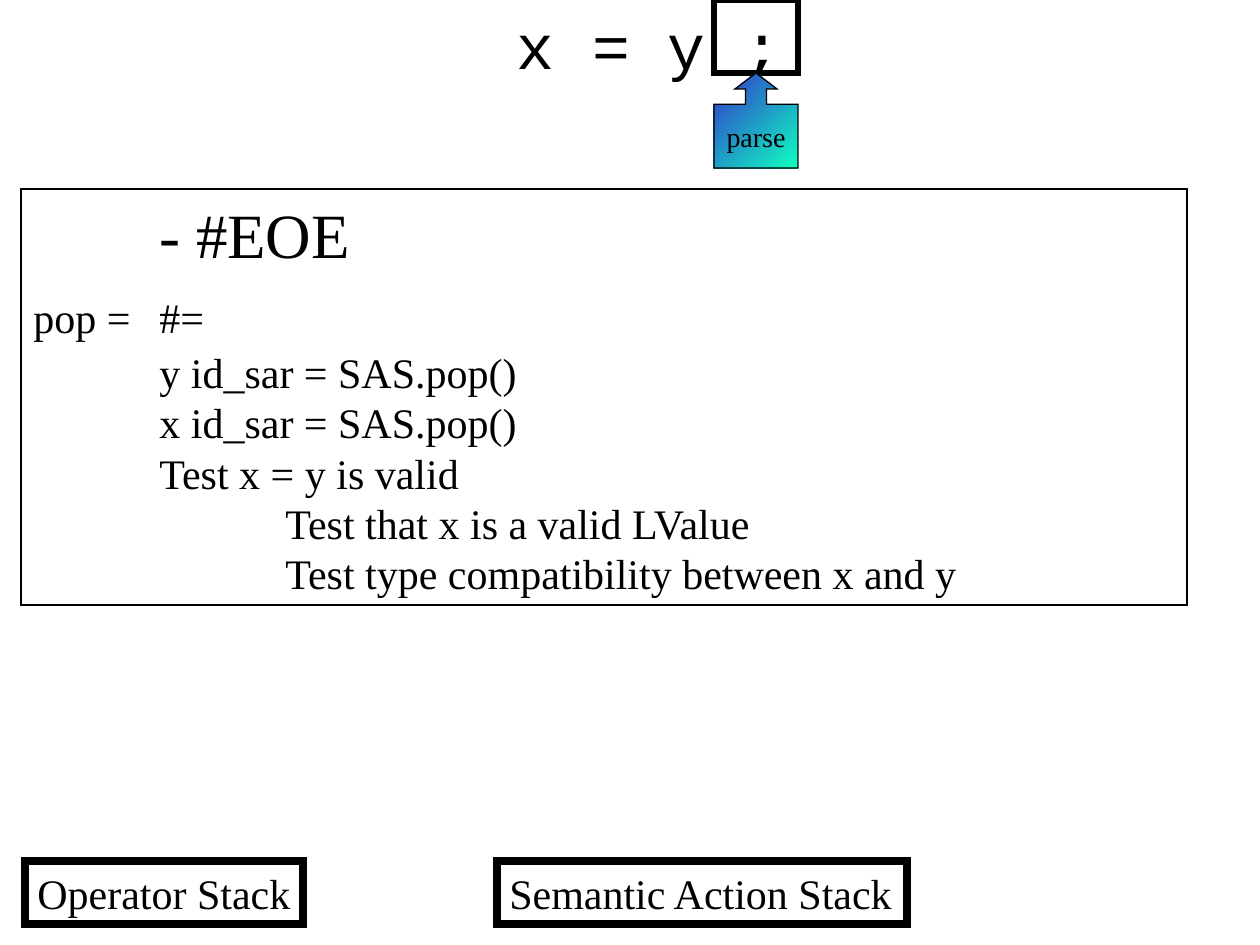
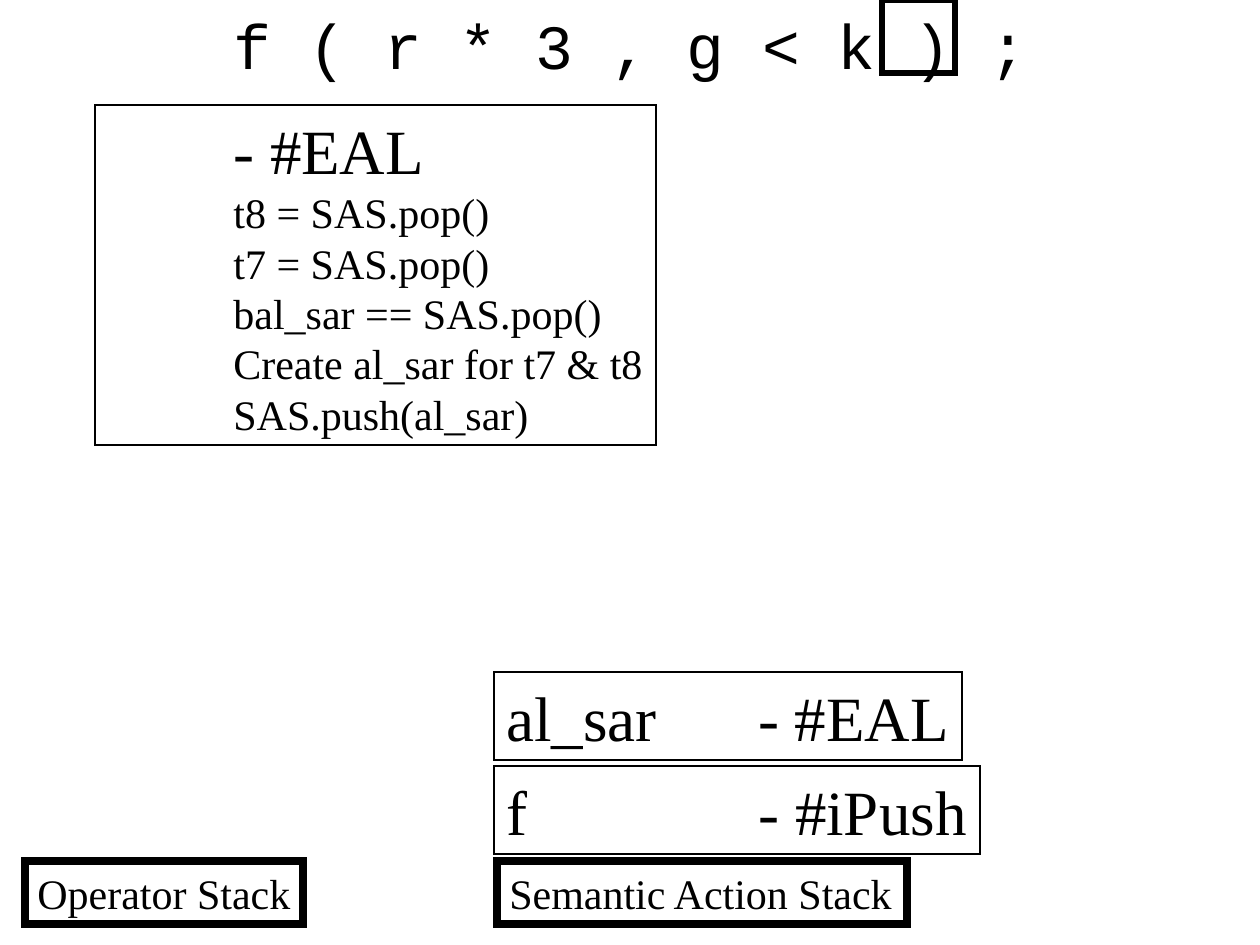
import dataclasses

import pptx
import pptx.dml.color
import pptx.enum.shapes
import pptx.enum.text
import pptx.oxml
import pptx.oxml.ns
import pptx.util

SHAPE = pptx.enum.shapes.MSO_SHAPE
ALIGN = pptx.enum.text.PP_ALIGN
ANCHOR = pptx.enum.text.MSO_ANCHOR
AUTO_SIZE = pptx.enum.text.MSO_AUTO_SIZE
RGB = pptx.dml.color.RGBColor.from_string
NAMESPACE = pptx.oxml.ns.nsdecls("a")

PX_PER_INCH = 126
TAB_COUNT = 8


@dataclasses.dataclass(frozen=True)
class Theme:
    ink: str = "000000"
    arrow_start: str = "3333CC"
    arrow_end: str = "0FFFC0"
    body_font: str = "Times New Roman"
    code_font: str = "Courier New"
    large: int = 36
    body: int = 24
    small: int = 16
    thin_line: float = 1
    arrow_line: float = 0.75
    focus_line: float = 3
    stack_line: float = 4.5


THEME = Theme()


def px(length):
    return pptx.util.Emu(round(length * 914400 / PX_PER_INCH))


def place(box):
    return [px(length) for length in box]


def format_run(run, size, font_name=THEME.body_font):
    run.font.name = font_name
    run.font.size = pptx.util.Pt(size)
    run.font.color.rgb = RGB(THEME.ink)


def add_tab_stops(paragraph):
    """Set a left tab at every inch."""
    stops = "".join(
        f'<a:tab pos="{px(index * PX_PER_INCH)}" algn="l"/>'
        for index in range(TAB_COUNT)
    )
    tab_list = pptx.oxml.parse_xml(f"<a:tabLst {NAMESPACE}>{stops}</a:tabLst>")
    paragraph._p.get_or_add_pPr().append(tab_list)


def add_outline(shapes, box, line_width, preset=SHAPE.RECTANGLE):
    """Add an unfilled shape whose line has sharp corners."""
    shape = shapes.add_shape(preset, *place(box))
    shape.shadow.inherit = False
    shape.fill.background()
    shape.line.color.rgb = RGB(THEME.ink)
    shape.line.width = pptx.util.Pt(line_width)
    miter = pptx.oxml.parse_xml(f'<a:miter {NAMESPACE} lim="800000"/>')
    shape.line._get_or_add_ln().append(miter)
    return shape


def add_text_frame(shape, lines, wrap=True, align=ALIGN.LEFT):
    """Each line is a list of (text, size) pairs."""
    frame = shape.text_frame
    frame.word_wrap = wrap
    frame.vertical_anchor = ANCHOR.TOP
    for index, pieces in enumerate(lines):
        paragraph = frame.paragraphs[0] if index == 0 else frame.add_paragraph()
        paragraph.alignment = align
        add_tab_stops(paragraph)
        for text, size in pieces:
            run = paragraph.add_run()
            run.text = text
            format_run(run, size)
    return frame


def add_boxed_text(slide, box, lines, line_width=THEME.thin_line):
    shape = add_outline(slide.shapes, box, line_width)
    frame = add_text_frame(shape, lines)
    # The boxes fit their text closely, so the right margin is left free for it
    frame.margin_right = 0
    frame.auto_size = AUTO_SIZE.SHAPE_TO_FIT_TEXT


# Parts shared by both slides
def add_expression(slide, expression):
    title = slide.shapes.title
    title.left, title.top, title.width, title.height = place((0, 0, 1260, 88))
    frame = title.text_frame
    frame.text = expression
    frame.word_wrap = True
    frame.vertical_anchor = ANCHOR.TOP
    frame.auto_size = AUTO_SIZE.SHAPE_TO_FIT_TEXT
    paragraph = frame.paragraphs[0]
    paragraph.alignment = ALIGN.CENTER
    format_run(paragraph.runs[0], THEME.large, THEME.code_font)


def add_stack_labels(slide):
    for label, left, width in (
        ("Operator Stack", 25, 278),
        ("Semantic Action Stack", 497, 410),
    ):
        add_boxed_text(
            slide, (left, 861, width, 63), [[(label, THEME.body)]], THEME.stack_line
        )


def add_expression_slide(presentation, expression):
    slide = presentation.slides.add_slide(presentation.slide_layouts[5])
    add_expression(slide, expression)
    add_stack_labels(slide)
    return slide


def add_action_panel(slide, box, heading, lines):
    body_lines = [
        [("\t" + line, THEME.body)] if isinstance(line, str) else line
        for line in lines
    ]
    add_boxed_text(slide, box, [[("\t" + heading, THEME.large)]] + body_lines)


# Focus box with the arrow callout hanging below it
def add_marker(slide, box, label):
    left, top, width, height = box
    focus_height = 73
    shapes = slide.shapes.add_group_shape().shapes
    add_outline(shapes, (left, top, width, focus_height), THEME.focus_line)
    callout = add_outline(
        shapes,
        (left, top + focus_height, width, height - focus_height),
        THEME.arrow_line,
        SHAPE.UP_ARROW_CALLOUT,
    )
    for index, value in enumerate((0.25, 0.25, 0.19, 0.67)):
        callout.adjustments[index] = value
    callout.fill.gradient()
    callout.fill.gradient_angle = 315
    colors = (THEME.arrow_start, THEME.arrow_end)
    for position, (stop, color) in enumerate(zip(callout.fill.gradient_stops, colors)):
        stop.color.rgb = RGB(color)
        stop.position = position
    frame = add_text_frame(callout, [[(label, THEME.small)]], False, ALIGN.CENTER)
    frame.vertical_anchor = ANCHOR.MIDDLE


# Entries of the semantic action stack, from the top down
def add_stack_entries(slide, left, top, entries):
    pitch, height = 94, 88
    for index, (text, width) in enumerate(entries):
        box = (left, top + index * pitch, width, height)
        add_boxed_text(slide, box, [[(text, THEME.large)]])


def build_assignment_slide(presentation):
    slide = add_expression_slide(presentation, " x = y ;")
    add_action_panel(
        slide,
        (21, 189, 1166, 416),
        "- #EOE",
        [
            [("pop =", THEME.body), ("\t", THEME.large), ("#=", THEME.body)],
            "y id_sar = SAS.pop()",
            "x id_sar = SAS.pop()",
            "Test x = y is valid",
            "\tTest that x is a valid LValue",
            "\tTest type compatibility between x and y",
        ],
    )
    add_marker(slide, (714, 0, 84, 168), "parse")


def build_call_slide(presentation):
    slide = add_expression_slide(presentation, "f ( r * 3 , g < k ) ;")
    add_outline(slide.shapes, (882, 0, 73, 73), THEME.focus_line)
    add_stack_entries(
        slide, 494, 672, [("al_sar\t- #EAL", 468), ("f\t\t- #iPush", 486)]
    )
    add_action_panel(
        slide,
        (95, 105, 561, 340),
        "- #EAL",
        [
            "t8 = SAS.pop()",
            "t7 = SAS.pop()",
            "bal_sar == SAS.pop()",
            "Create al_sar for t7 & t8",
            "SAS.push(al_sar)",
        ],
    )


def main():
    presentation = pptx.Presentation()
    presentation.slide_width = px(1260)
    presentation.slide_height = px(945)
    build_assignment_slide(presentation)
    build_call_slide(presentation)
    presentation.save("out.pptx")


if __name__ == "__main__":
    main()
